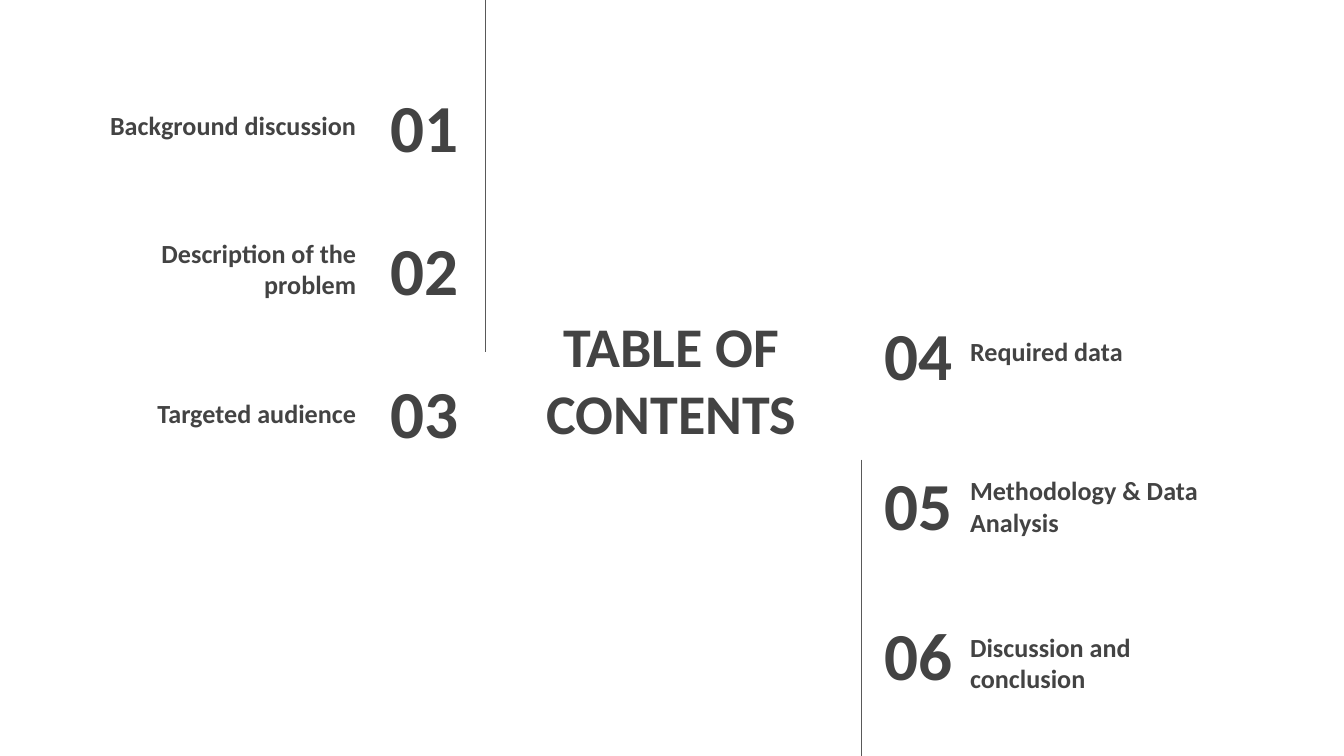
from pptx import Presentation
from pptx.dml.color import RGBColor
from pptx.enum.shapes import MSO_CONNECTOR
from pptx.enum.text import MSO_ANCHOR, MSO_AUTO_SIZE, PP_ALIGN
from pptx.oxml.ns import qn
from pptx.util import Pt
from lxml import etree

FONT = "Calibri"
TEXT_COLOR = "434343"
LINE_COLOR = "595959"


def color(value):
    return RGBColor.from_string(value)


def write(box, text, frame, size, align, anchor):
    """Place a text shape and give it one bold paragraph."""
    box.left, box.top, box.width, box.height = [Pt(length) for length in frame]
    text_frame = box.text_frame
    text_frame.word_wrap = True
    text_frame.auto_size = MSO_AUTO_SIZE.NONE
    text_frame.vertical_anchor = anchor
    text_frame.margin_left = text_frame.margin_right = Pt(7.2)
    text_frame.margin_top = text_frame.margin_bottom = Pt(7.2)
    paragraph = text_frame.paragraphs[0]
    paragraph.text = text
    paragraph.alignment = align
    paragraph.font.name = FONT
    paragraph.font.size = Pt(size)
    paragraph.font.bold = True
    paragraph.font.color.rgb = color(TEXT_COLOR)


deck = Presentation()
deck.slide_width, deck.slide_height = Pt(720), Pt(405)
page = deck.slides.add_slide(deck.slide_layouts[5])
page.background.fill.solid()
page.background.fill.fore_color.rgb = color("FFFFFF")

# Title in the centre
write(page.shapes.title, "TABLE OF CONTENTS", (266.4, 165.6, 186.5, 74.2),
      30, PP_ALIGN.CENTER, MSO_ANCHOR.MIDDLE)

# Columns: alignment, number left and width, first number top, row step,
# label left, then each label with its top and height
columns = [
    (PP_ALIGN.RIGHT, 166, 87, 44.8, 76.6, 42.5, [
        ("Background discussion", 53.3, 29.5),
        ("Description of the problem", 122.4, 45.4),
        ("Targeted audience", 203.8, 33.1),
    ]),
    (PP_ALIGN.LEFT, 466.6, 84.2, 167, 80.3, 512.6, [
        ("Required data", 158.4, 45.4),
        ("Methodology & Data Analysis", 249.8, 45.4),
        ("Discussion and conclusion", 333.4, 45.4),
    ]),
]
number = 0
for align, number_left, number_width, first_top, step, label_left, labels in columns:
    for row, (label, label_top, label_height) in enumerate(labels):
        number += 1
        number_box = page.shapes.add_textbox(0, 0, 0, 0)
        write(number_box, f"{number:02}",
              (number_left, first_top + row * step, number_width, 45.4),
              36, align, MSO_ANCHOR.MIDDLE)
        label_box = page.shapes.add_textbox(0, 0, 0, 0)
        write(label_box, label, (label_left, label_top, 155.5, label_height),
              14, align, MSO_ANCHOR.BOTTOM)

# Vertical rules beside the two columns
for x, top, bottom in [(260, 0, 188.6), (461.5, 246.2, 405)]:
    rule = page.shapes.add_connector(
        MSO_CONNECTOR.STRAIGHT, Pt(x), Pt(top), Pt(x), Pt(bottom))
    rule.line.color.rgb = color(LINE_COLOR)
    rule.line.width = Pt(0.75)
    etree.SubElement(rule._element.spPr, qn("a:effectLst"))

deck.save("out.pptx")
